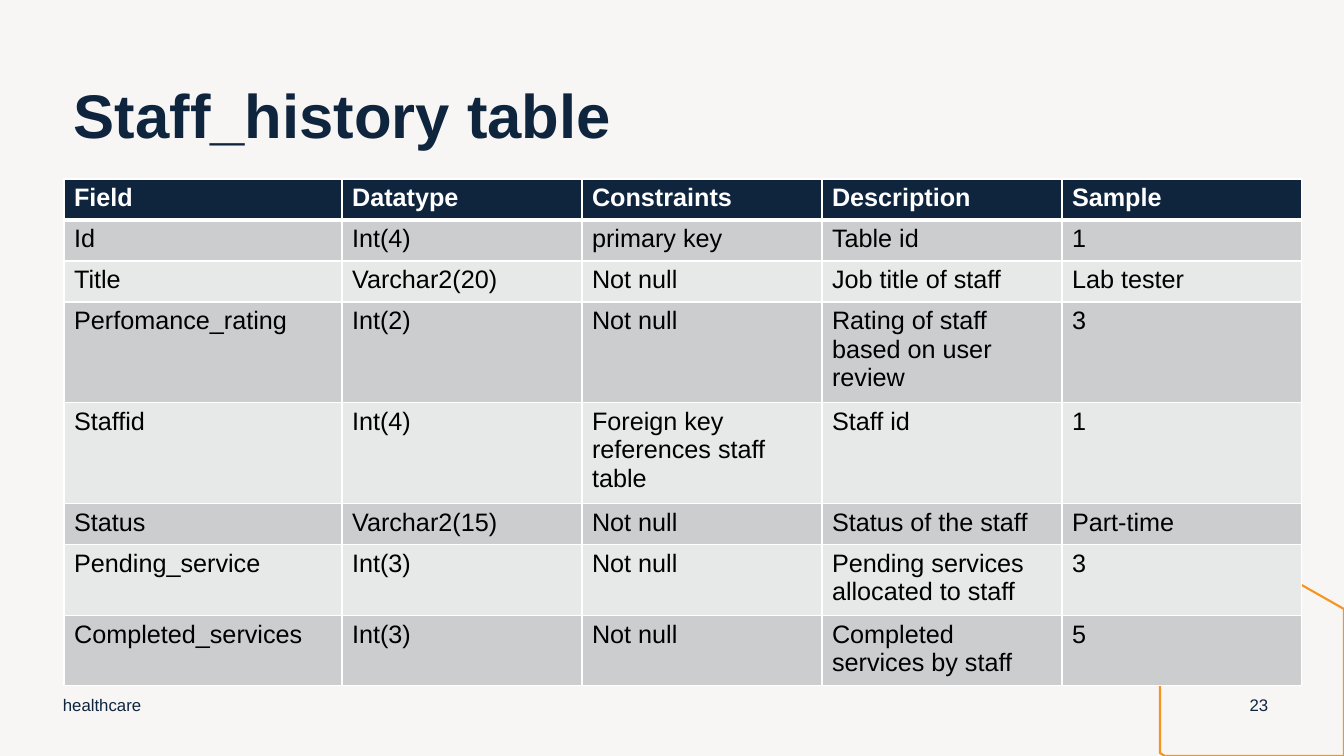
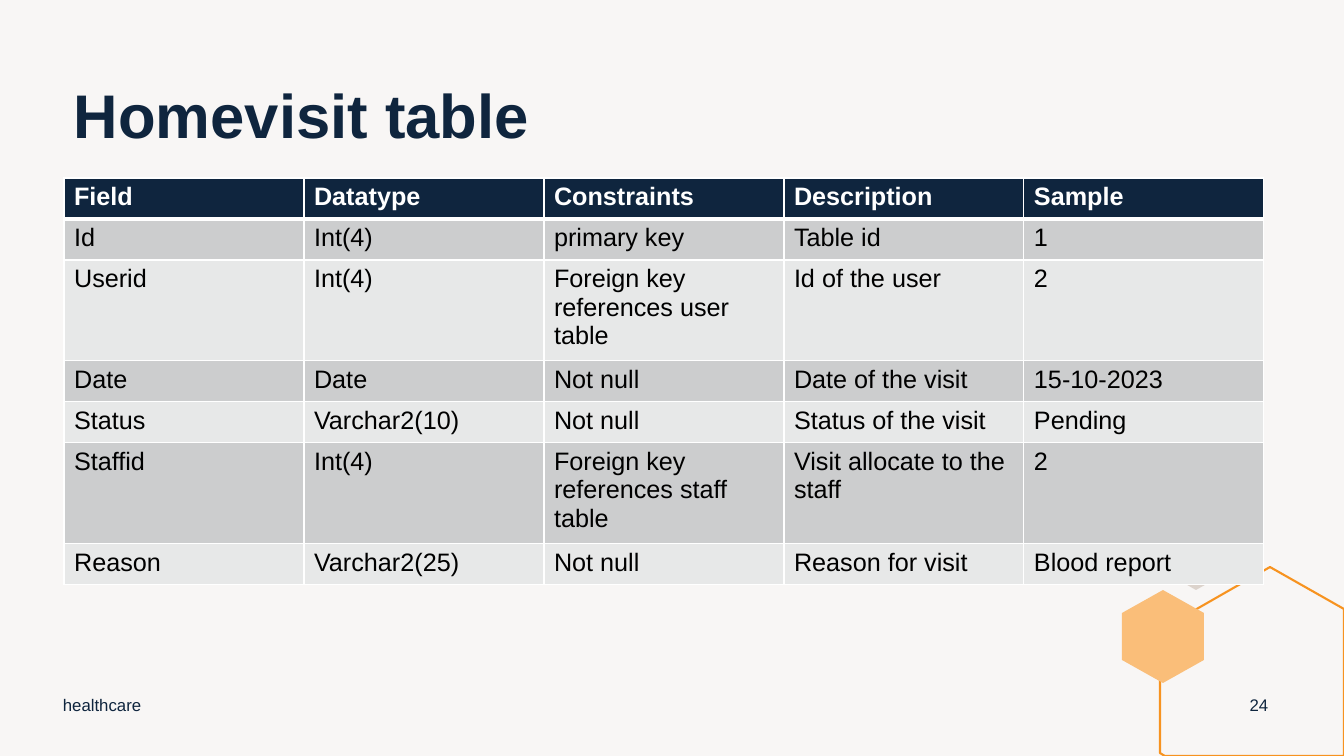
from pptx import Presentation
from pptx.dml.color import RGBColor
from pptx.enum.text import MSO_ANCHOR as ANCHOR, PP_ALIGN as ALIGN
from pptx.oxml.xmlchemy import OxmlElement as Element
from pptx.util import Pt

# Content: each row ends with the number of lines its longest cell takes
HEADER = ("Field", "Datatype", "Constraints", "Description", "Sample", 1)
SLIDES = [
    dict(title="Staff_history table", page="23", top=179, first_col=278, rows=[
        ("Id", "Int(4)", "primary key", "Table id", "1", 1),
        ("Title", "Varchar2(20)", "Not null", "Job title of staff", "Lab tester", 1),
        ("Perfomance_rating", "Int(2)", "Not null",
         "Rating of staff based on user review", "3", 3),
        ("Staffid", "Int(4)", "Foreign key references staff table", "Staff id", "1", 3),
        ("Status", "Varchar2(15)", "Not null", "Status of the staff", "Part-time", 1),
        ("Pending_service", "Int(3)", "Not null",
         "Pending services allocated to staff", "3", 2),
        ("Completed_services", "Int(3)", "Not null",
         "Completed services by staff", "5", 2),
    ]),
    dict(title="Homevisit table", page="24", top=178, first_col=240, rows=[
        ("Id", "Int(4)", "primary key", "Table id", "1", 1),
        ("Userid", "Int(4)", "Foreign key references user table",
         "Id of the user", "2", 3),
        ("Date", "Date", "Not null", "Date of the visit", "15-10-2023", 1),
        ("Status", "Varchar2(10)", "Not null", "Status of the visit", "Pending", 1),
        ("Staffid", "Int(4)", "Foreign key references staff table",
         "Visit allocate to the staff", "2", 3),
        ("Reason", "Varchar2(25)", "Not null", "Reason for visit", "Blood report", 1),
    ]),
]
FOOTER = "healthcare"

# Shared look
NAVY = RGBColor(0x0F, 0x25, 0x3E)
WHITE = RGBColor(0xFF, 0xFF, 0xFF)
BLACK = RGBColor(0x00, 0x00, 0x00)
PAPER = RGBColor(0xF8, 0xF6, 0xF5)
SAND = RGBColor(0xDC, 0xD3, 0xCC)
ORANGE = RGBColor(0xF7, 0x93, 0x20)
APRICOT = RGBColor(0xFA, 0xBE, 0x79)
BANDS = (RGBColor(0xE7, 0xE8, 0xE8), RGBColor(0xCC, 0xCD, 0xCE))

TITLE = dict(size=Pt(44), bold=True, color=NAVY)
SMALL = dict(size=Pt(12), bold=False, color=NAVY)
HEAD = dict(size=Pt(18), bold=True, color=WHITE)
BODY = dict(size=Pt(18), bold=False, color=BLACK)

# Corner hexagons: points, fill, line
HEXAGONS = [
    ([(1196, 514), (1230, 533), (1230, 571), (1196, 590), (1163, 571), (1163, 533)],
     SAND, None),
    ([(1270, 567), (1344, 609), (1344, 756), (1165, 756), (1160, 753), (1160, 630)],
     None, ORANGE),
    ([(1163, 590), (1204, 613), (1204, 660), (1163, 683), (1122, 660), (1122, 613)],
     APRICOT, None),
]

# Geometry in px
WIDTH, HEIGHT = 1344, 756
SCALE = 12192000 / WIDTH
LEFT, COL = 64, 240
ROW_MIN, LINE, PADDING = 41, 28, 10


def px(n):
    return round(n * SCALE)


def write(p, text, style):
    r = p.add_run()
    r.text = text
    r.font.name = "Arial"
    for key, value in style.items():
        if key == "color":
            r.font.color.rgb = value
        else:
            setattr(r.font, key, value)


def add_text(s, box, text, style, anchor=ANCHOR.MIDDLE, align=ALIGN.LEFT, spacing=1.0):
    tf = s.shapes.add_textbox(*map(px, box)).text_frame
    tf.word_wrap, tf.vertical_anchor = True, anchor
    p = tf.paragraphs[0]
    p.alignment, p.line_spacing = align, spacing
    write(p, text, style)


def add_hexagon(s, points, fill, line):
    builder = s.shapes.build_freeform(*points[0], scale=SCALE)
    builder.add_line_segments(points[1:], close=True)
    sp = builder.convert_to_shape()
    sp.shadow.inherit = False
    for part, color in ((sp.fill, fill), (sp.line.fill, line)):
        if color is None:
            part.background()
        else:
            part.solid()
            part.fore_color.rgb = color
    if line is not None:
        sp.line.width = Pt(1.5)


def add_borders(cell, top, bottom):
    tc_pr = cell._tc.get_or_add_tcPr()
    for side, width in (("L", 1), ("R", 1), ("T", top), ("B", bottom)):
        ln, fill, color = (Element(f"a:{tag}") for tag in ("ln" + side, "solidFill", "srgbClr"))
        ln.set("w", str(Pt(width)))
        color.set("val", str(WHITE))
        fill.append(color)
        ln.append(fill)
        tc_pr.append(ln)


def add_field_table(s, top, first_col, rows):
    rows = [HEADER, *rows]
    widths = [first_col] + [COL] * (len(HEADER) - 2)
    heights = [max(ROW_MIN, PADDING + LINE * row[-1]) for row in rows]
    box = (LEFT, top, sum(widths), sum(heights))
    table = s.shapes.add_table(len(rows), len(widths), *map(px, box)).table
    table.horz_banding = False
    for column, width in zip(table.columns, widths):
        column.width = px(width)
    for i, (*texts, _) in enumerate(rows):
        table.rows[i].height = px(heights[i])
        for j, text in enumerate(texts):
            cell = table.cell(i, j)
            # The rule under the header is thicker
            add_borders(cell, top=3 if i == 1 else 1, bottom=3 if i == 0 else 1)
            cell.fill.solid()
            cell.fill.fore_color.rgb = BANDS[i % 2] if i else NAVY
            write(cell.text_frame.paragraphs[0], text, BODY if i else HEAD)


def main():
    prs = Presentation()
    prs.slide_width, prs.slide_height = px(WIDTH), px(HEIGHT)
    background = prs.slide_master.background.fill
    background.solid()
    background.fore_color.rgb = PAPER

    for content in SLIDES:
        s = prs.slides.add_slide(prs.slide_layouts[6])
        for hexagon in HEXAGONS:
            add_hexagon(s, *hexagon)
        add_text(s, (LEFT, 80, 1200, 156), content["title"], TITLE,
                 anchor=ANCHOR.TOP, spacing=0.9)
        add_field_table(s, content["top"], content["first_col"], content["rows"])
        add_text(s, (53, 685, 454, 40), FOOTER, SMALL)
        add_text(s, (1234, 685, 50, 40), content["page"], SMALL, align=ALIGN.CENTER)

    prs.save("out.pptx")


if __name__ == "__main__":
    main()
